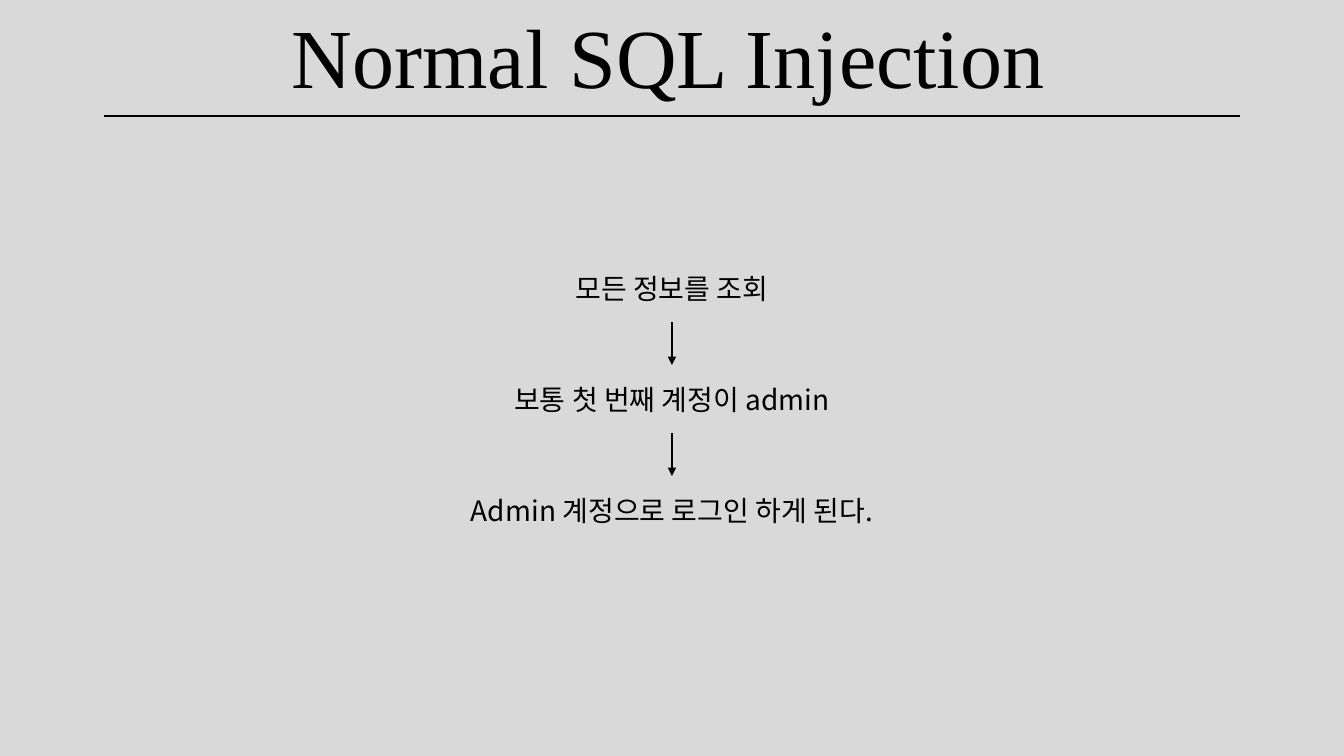
from lxml import etree
from pptx import Presentation
from pptx.dml.color import RGBColor
from pptx.enum.shapes import MSO_CONNECTOR
from pptx.enum.text import MSO_AUTO_SIZE as AutoSize, PP_ALIGN as Align
from pptx.oxml.ns import qn
from pptx.util import Pt

WIDTH, HEIGHT = 1344, 756
SCALE = 12192000 / WIDTH
COLORS = {"background": "D9D9D9", "ink": "000000"}
TITLE_FONT, BODY_FONT = "Times New Roman", "Noto Sans CJK KR"
STEPS = ["모든 정보를 조회", "보통 첫 번째 계정이 admin", "Admin 계정으로 로그인 하게 된다."]


def px(length):
    return round(length * SCALE)


def color(name):
    return RGBColor.from_string(COLORS[name])


def add_text(slide, box, words, font, size, align, wrap):
    frame = slide.shapes.add_textbox(*map(px, box)).text_frame
    frame.word_wrap = wrap
    frame.auto_size = AutoSize.SHAPE_TO_FIT_TEXT
    paragraph = frame.paragraphs[0]
    paragraph.alignment = align
    run = paragraph.add_run()
    run.text = words
    run.font.name = font
    run.font.size = Pt(size)
    run.font.color.rgb = color("ink")
    latin = run.font._element.find(qn("a:latin"))
    east_asian = etree.Element(qn("a:ea"), typeface=font)
    latin.addnext(east_asian)


def add_line(slide, start, end, arrow=False):
    line = slide.shapes.add_connector(MSO_CONNECTOR.STRAIGHT, *map(px, start + end))
    line.line.color.rgb = color("ink")
    line.line.width = Pt(1.5)
    if arrow:
        etree.SubElement(line.line._get_or_add_ln(), qn("a:tailEnd"), type="triangle")
    etree.SubElement(line._element.spPr, qn("a:effectLst"))


def add_header(slide, left, top, width, height):
    title_box = (left + 178, top, 780, height - 4)
    add_text(slide, title_box, "Normal SQL Injection", TITLE_FONT, 60, Align.LEFT, False)
    add_line(slide, (left, top + height), (left + width, top + height))


def add_flow(slide, left, top, width, height):
    step_height, arrow_gap, arrow_length = 44, 55, 43
    pitch = (height - step_height) / (len(STEPS) - 1)
    center = left + width / 2
    for index, step in enumerate(STEPS):
        step_top = top + index * pitch
        add_text(slide, (left, step_top, width, step_height), step, BODY_FONT, 20, Align.CENTER, True)
        if index < len(STEPS) - 1:
            arrow_top = step_top + arrow_gap
            add_line(slide, (center, arrow_top), (center, arrow_top + arrow_length), arrow=True)


def main():
    deck = Presentation()
    deck.slide_width, deck.slide_height = px(WIDTH), px(HEIGHT)
    slide = deck.slides.add_slide(deck.slide_layouts[6])
    slide.background.fill.solid()
    slide.background.fill.fore_color.rgb = color("background")
    add_header(slide, 104, 0, 1136, 116)
    add_flow(slide, 327, 267, 690, 266)
    deck.save("out.pptx")


if __name__ == "__main__":
    main()
